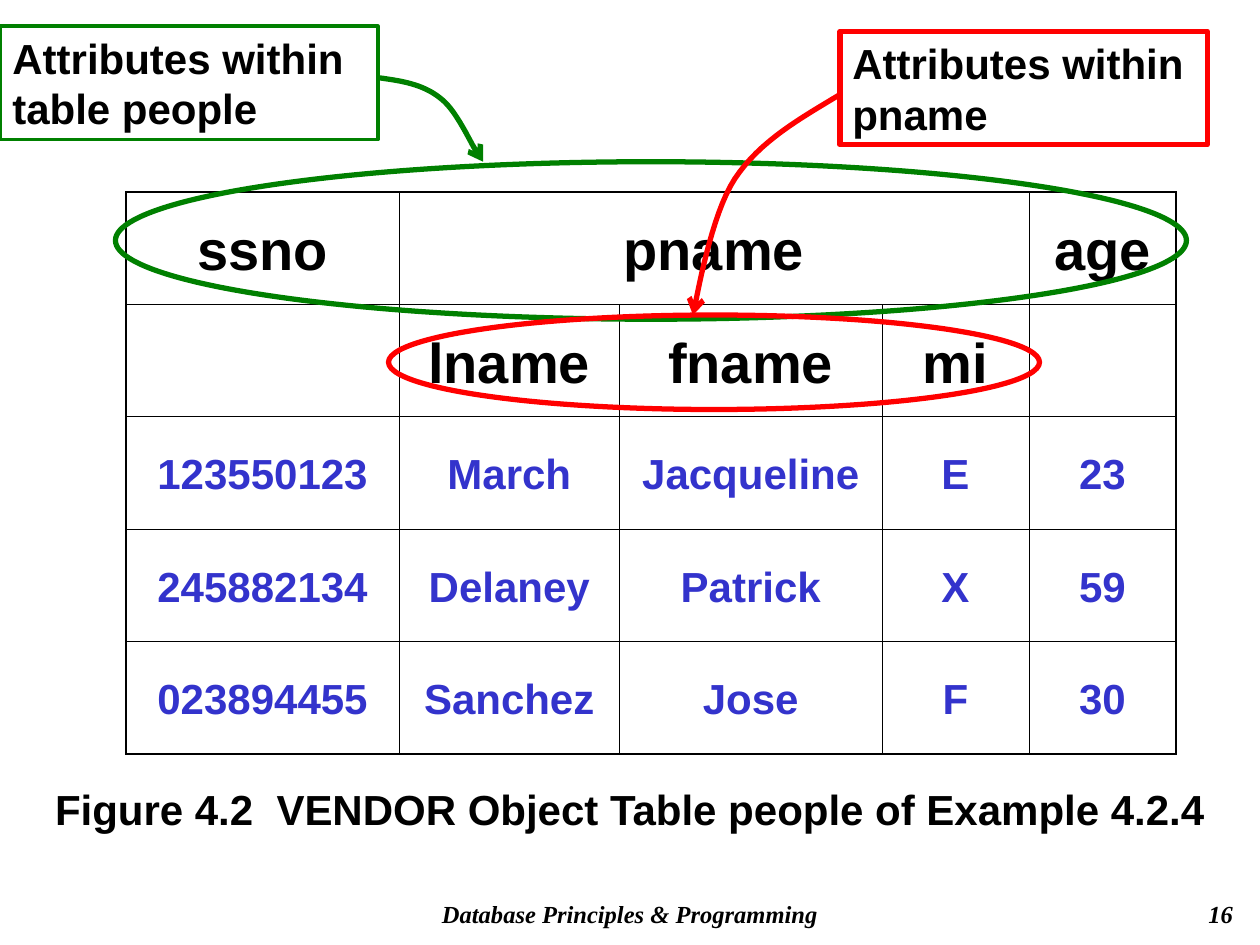
from dataclasses import dataclass

from lxml import etree
from pptx import Presentation, util as u
from pptx.dml.color import RGBColor
from pptx.enum import shapes, text
from pptx.oxml import ns

PX = u.Inches(1) // 120
BLACK = RGBColor(0x00, 0x00, 0x00)
BLUE = RGBColor(0x33, 0x33, 0xCC)
GREEN = RGBColor(0x00, 0x80, 0x00)
RED = RGBColor(0xFF, 0x00, 0x00)
LEFT, CENTER, RIGHT = text.PP_ALIGN.LEFT, text.PP_ALIGN.CENTER, text.PP_ALIGN.RIGHT

BODY = {"name": "Arial", "size": u.Pt(24), "bold": True}
HEADING = {**BODY, "size": u.Pt(32)}
FOOTER = {"name": "Times New Roman", "size": u.Pt(14), "bold": True, "italic": True}

Box = tuple[int, int, int, int]
Point = tuple[int, int]


@dataclass
class Label:
    words: str
    box: Box
    align: text.PP_ALIGN
    font: dict


@dataclass
class Callout:
    words: str
    color: RGBColor
    box: Box
    box_line: float
    ellipse: Box
    curve: list[Point]


LABELS = [
    Label("Database Principles & Programming", (330, 850, 540, 40), CENTER, FOOTER),
    Label("16", (936, 850, 250, 40), RIGHT, FOOTER),
    Label("Figure 4.2  VENDOR Object Table people of Example 4.2.4",
          (0, 740, 1200, 60), CENTER, BODY),
]
CALLOUTS = [
    Callout("Attributes within table people", GREEN, (0, 25, 360, 108), 2,
            (110, 154, 1020, 150),
            [(360, 74), (382, 77), (403, 80), (420, 94), (437, 107), (451, 144), (460, 154)]),
    Callout("Attributes within pname", RED, (800, 30, 350, 108), 3,
            (370, 300, 620, 90),
            [(800, 90), (762, 113), (724, 134), (700, 170), (677, 205), (664, 282), (660, 300)]),
]
ROWS = [
    ["ssno", "pname", "", "", "age"],
    ["", "lname", "fname", "mi", ""],
    ["123550123", "March", "Jacqueline", "E", "23"],
    ["245882134", "Delaney", "Patrick", "X", "59"],
    ["023894455", "Sanchez", "Jose", "F", "30"],
]
HEADING_ROWS = 2
COLUMN_WIDTHS = [260, 210, 250, 140, 140]
ROW_HEIGHT = 107
TABLE_LEFT, TABLE_TOP = 120, 183
OUTER_LINE, INNER_LINE = 1.08, 0.45
CURVE_STEPS = 16


def emu(*lengths: int) -> list[int]:
    return [length * PX for length in lengths]


def write(frame, words: str, align: text.PP_ALIGN, font: dict, color: RGBColor = BLACK):
    frame.word_wrap = True
    paragraph = frame.paragraphs[0]
    paragraph.text = words
    paragraph.alignment = align
    for name, value in font.items():
        setattr(paragraph.font, name, value)
    paragraph.font.color.rgb = color
    return paragraph


def outline(shape, color: RGBColor, points: float) -> None:
    shape.shadow.inherit = False
    shape.fill.background()
    shape.line.color.rgb = color
    shape.line.width = u.Pt(points)


def add_label(slide, label: Label) -> None:
    box = slide.shapes.add_textbox(*emu(*label.box))
    write(box.text_frame, label.words, label.align, label.font)


def set_borders(cell, widths: dict[str, float]) -> None:
    properties = cell._tc.get_or_add_tcPr()
    for index, (side, points) in enumerate(widths.items()):
        line = etree.Element(ns.qn(f"a:ln{side}"), w=str(u.Pt(points)))
        fill = etree.SubElement(line, ns.qn("a:solidFill"))
        etree.SubElement(fill, ns.qn("a:srgbClr"), val=str(BLACK))
        properties.insert(index, line)


def add_people_table(slide) -> None:
    last_row, last_column = len(ROWS) - 1, len(COLUMN_WIDTHS) - 1
    table = slide.shapes.add_table(
        len(ROWS), len(COLUMN_WIDTHS),
        *emu(TABLE_LEFT, TABLE_TOP, sum(COLUMN_WIDTHS), ROW_HEIGHT * len(ROWS))).table
    for column, width in zip(table.columns, COLUMN_WIDTHS):
        column.width = width * PX
    for r, row in enumerate(ROWS):
        table.rows[r].height = ROW_HEIGHT * PX
        font, color = (HEADING, BLACK) if r < HEADING_ROWS else (BODY, BLUE)
        for c, words in enumerate(row):
            cell = table.cell(r, c)
            cell.fill.background()
            cell.vertical_anchor = text.MSO_ANCHOR.MIDDLE
            edges = {"L": c == 0, "R": c == last_column, "T": r == 0, "B": r == last_row}
            set_borders(cell, {side: OUTER_LINE if outer else INNER_LINE
                               for side, outer in edges.items()})
            if words:
                write(cell.text_frame, words, CENTER, font, color).line_spacing = 1.1
    table.cell(0, 1).merge(table.cell(0, 3))


def bezier(points: list[Point]) -> list[tuple[int, int]]:
    result = []
    for step in range(1, CURVE_STEPS + 1):
        t = step / CURVE_STEPS
        weights = [(1 - t) ** 3, 3 * t * (1 - t) ** 2, 3 * t * t * (1 - t), t ** 3]
        result.append(tuple(round(PX * sum(w * p[axis] for w, p in zip(weights, points)))
                            for axis in (0, 1)))
    return result


def add_curved_arrow(group, curve: list[Point], color: RGBColor) -> None:
    builder = group.shapes.build_freeform(*emu(*curve[0]))
    for start in range(0, len(curve) - 1, 3):
        builder.add_line_segments(bezier(curve[start:start + 4]), close=False)
    arrow = builder.convert_to_shape()
    outline(arrow, color, 3)
    etree.SubElement(arrow.line._get_or_add_ln(), ns.qn("a:tailEnd"), type="arrow")


def add_callout(slide, callout: Callout) -> None:
    group = slide.shapes.add_group_shape()
    ellipse = group.shapes.add_shape(shapes.MSO_SHAPE.OVAL, *emu(*callout.ellipse))
    outline(ellipse, callout.color, 3)
    box = group.shapes.add_shape(shapes.MSO_SHAPE.RECTANGLE, *emu(*callout.box))
    outline(box, callout.color, callout.box_line)
    box.text_frame.vertical_anchor = text.MSO_ANCHOR.TOP
    write(box.text_frame, callout.words, LEFT, BODY)
    add_curved_arrow(group, callout.curve, callout.color)


def main() -> None:
    presentation = Presentation()
    presentation.slide_width, presentation.slide_height = emu(1200, 900)
    slide = presentation.slides.add_slide(presentation.slide_layouts[6])
    *footers, caption = LABELS
    for footer in footers:
        add_label(slide, footer)
    add_people_table(slide)
    add_label(slide, caption)
    for callout in CALLOUTS:
        add_callout(slide, callout)
    presentation.save("out.pptx")


if __name__ == "__main__":
    main()
